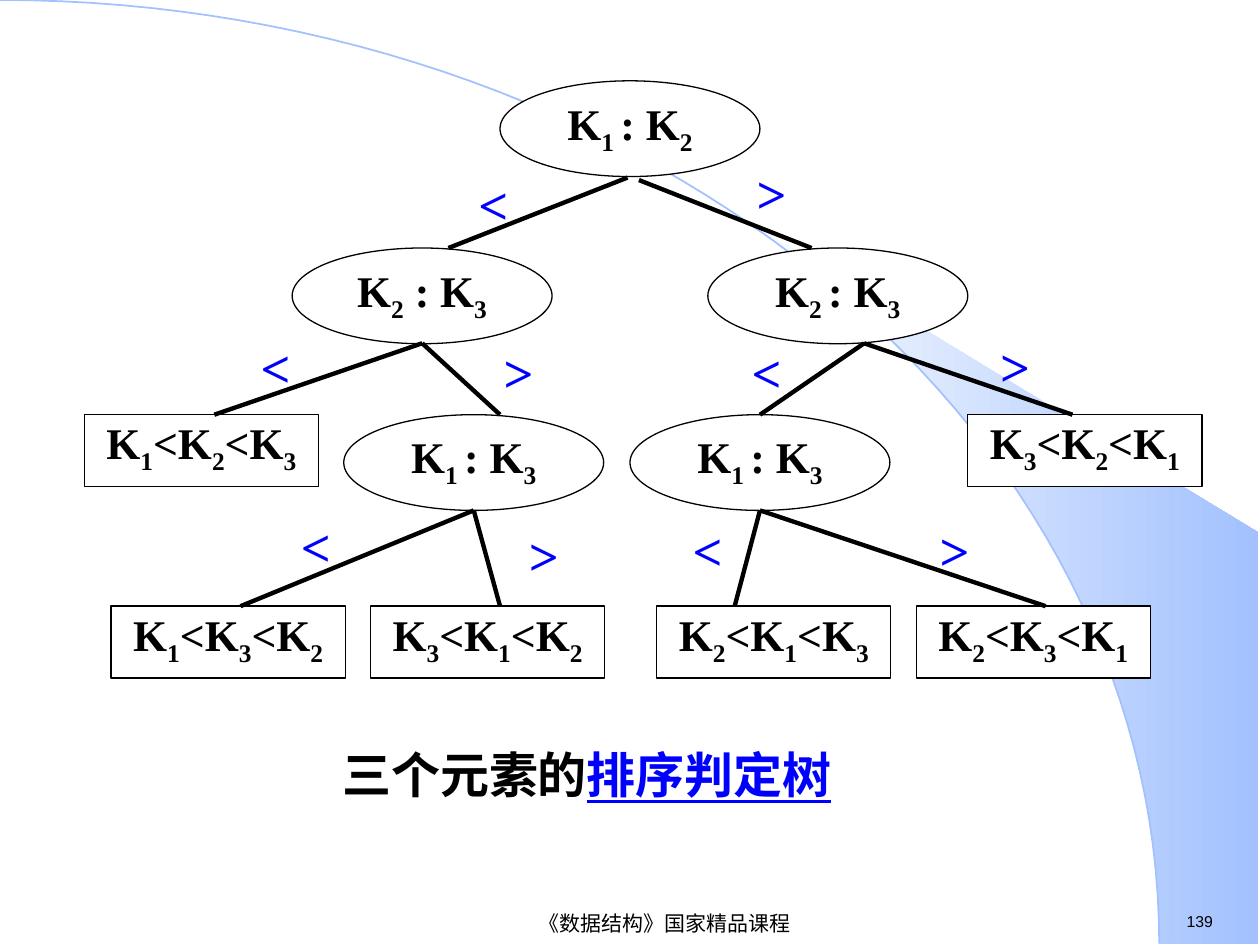
import math

from lxml import etree
from pptx import Presentation
from pptx import util as u
from pptx.dml import color
from pptx.enum import shapes, text
from pptx.oxml import ns

BLACK, WHITE, BLUE, SKY = "000000", "FFFFFF", "0000FF", "A2C1FE"


def rgb(value):
    return color.RGBColor.from_string(value)


class TreeSlide:
    serif = "Times New Roman"
    sans = "Arial"
    ellipse_size = (5.24, 1.93)
    leaf_size = (4.72, 1.45)
    sign_size = (2.11, 1.52)

    def __init__(self, slide):
        self.slide = slide

    def place(self, shape, left, top, width, height):
        shape.left, shape.top = u.Cm(left), u.Cm(top)
        shape.width, shape.height = u.Cm(width), u.Cm(height)

    def style(self, run, size, name, colour, bold=False):
        font = run.font
        font.size, font.name, font.bold = u.Pt(size), name, bold
        font.color.rgb = rgb(colour)

    def frame(self, shape, anchor, align, inset=(0.25, 0.13)):
        frame = shape.text_frame
        frame.word_wrap = True
        frame.auto_size = text.MSO_AUTO_SIZE.NONE
        frame.vertical_anchor = anchor
        frame.margin_left = frame.margin_right = u.Cm(inset[0])
        frame.margin_top = frame.margin_bottom = u.Cm(inset[1])
        frame.paragraphs[0].alignment = align
        return frame

    def outline(self, points, closed):
        start, *rest = [(u.Cm(x), u.Cm(y)) for x, y in points]
        builder = self.slide.shapes.build_freeform(*start)
        builder.add_line_segments(rest, close=closed)
        shape = builder.convert_to_shape()
        shape.shadow.inherit = False
        return shape

    def band(self, points):
        shape = self.outline(points, True)
        shape.line.fill.background()
        shape.fill.gradient()
        shape.fill.gradient_angle = 0
        for stop, colour in zip(shape.fill.gradient_stops, ("FEFEFE", SKY)):
            stop.color.rgb = rgb(colour)

    def arc(self, points):
        shape = self.outline(points, False)
        shape.fill.background()
        shape.line.color.rgb = rgb(SKY)
        shape.line.width = u.Pt(1)

    def node(self, kind, size, centre, top, label):
        shape = self.slide.shapes.add_shape(kind, 0, 0, 0, 0)
        self.place(shape, centre - size[0] / 2, top, *size)
        shape.shadow.inherit = False
        shape.fill.solid()
        shape.fill.fore_color.rgb = rgb(WHITE)
        shape.line.color.rgb = rgb(BLACK)
        shape.line.width = u.Pt(0.75)
        frame = self.frame(shape, text.MSO_ANCHOR.TOP, text.PP_ALIGN.CENTER, (0.05, 0.03))
        for index, part in enumerate(label.split("_")):
            if part:
                run = frame.paragraphs[0].add_run()
                run.text = part
                self.style(run, 25, self.serif, BLACK, True)
                if index % 2:
                    run.font._element.set("baseline", "-25000")

    def comparison(self, centre, top, label):
        self.node(shapes.MSO_SHAPE.OVAL, self.ellipse_size, centre, top, label)

    def leaf(self, centre, top, order):
        label = "<".join(f"K_{digit}_" for digit in order)
        self.node(shapes.MSO_SHAPE.RECTANGLE, self.leaf_size, centre, top, label)

    def branch(self, start, end):
        connector = self.slide.shapes.add_connector(
            shapes.MSO_CONNECTOR.STRAIGHT, *(u.Cm(value) for value in (*start, *end)))
        connector.line.color.rgb = rgb(BLACK)
        connector.line.width = u.Pt(2.5)
        etree.SubElement(connector._element.spPr, ns.qn("a:effectLst"))

    def label(self, words, box, size, name, colour=BLACK, bold=False,
              anchor=text.MSO_ANCHOR.TOP, align=text.PP_ALIGN.CENTER):
        shape = self.slide.shapes.add_textbox(0, 0, 0, 0)
        self.place(shape, *box)
        paragraph = self.frame(shape, anchor, align).paragraphs[0]
        paragraph.text = words
        self.style(paragraph.runs[0], size, name, colour, bold)

    def sign(self, mark, left, top):
        self.label(mark, (left, top, *self.sign_size), 30, self.serif, BLUE, True)

    def title(self, plain, linked):
        shape = self.slide.shapes.title
        self.place(shape, 6.65, 14.63, 10.69, 1.96)
        frame = self.frame(shape, text.MSO_ANCHOR.MIDDLE, text.PP_ALIGN.LEFT)
        for words, colour in ((plain, BLACK), (linked, BLUE)):
            run = frame.paragraphs[0].add_run()
            run.text = words
            self.style(run, 28, self.serif, colour, True)
            run.font.underline = colour == BLUE


def arc_points(first, last, steps=60):
    angles = [math.radians(first + (last - first) * i / steps) for i in range(steps + 1)]
    return [(23.37 * math.sin(a), 19.02 * (1 - math.cos(a))) for a in angles]


def main():
    presentation = Presentation()
    presentation.slide_width, presentation.slide_height = u.Cm(25.4), u.Cm(19.05)
    tree = TreeSlide(presentation.slides.add_slide(presentation.slide_layouts[5]))

    tree.band(arc_points(39.8, 90) + [(25.37, 19.02), (25.37, 10.74)])
    tree.arc(arc_points(0, 90))

    level_tops = (1.63, 5, 8.36, 12.22)
    for centre, level, label in (
        (12.7, 0, "K_1 _: K_2"),
        (8.51, 1, "K_2_ : K_3"),
        (16.89, 1, "K_2 _: K_3"),
        (9.55, 2, "K_1 _: K_3"),
        (15.32, 2, "K_1 _: K_3"),
    ):
        tree.comparison(centre, level_tops[level], label)
    for centre, level, order in (
        (4.06, 2, "123"), (21.87, 2, "321"),
        (4.6, 3, "132"), (9.83, 3, "312"), (15.6, 3, "213"), (20.83, 3, "231"),
    ):
        tree.leaf(centre, level_tops[level], order)

    for start, level, ends in (
        ((12.65, 3.58), 1, (9.04,)),
        ((12.88, 3.63), 1, (16.36,)),
        ((8.51, 6.92), 2, (4.32, 10.08)),
        ((17.42, 6.92), 2, (15.32, 21.62)),
        ((9.55, 10.29), 3, (4.85, 10.08)),
        ((15.32, 10.29), 3, (14.81, 21.08)),
    ):
        for end in ends:
            tree.branch(start, (end, level_tops[level]))

    for mark, corners in (
        ("<", ((8.89, 3.33), (4.5, 6.63), (5.31, 10.24), (14.4, 6.73), (13.21, 10.31))),
        (">", ((14.5, 3.12), (19.41, 6.6), (18.19, 10.31), (9.91, 10.41), (9.4, 6.73))),
    ):
        for corner in corners:
            tree.sign(mark, *corner)

    tree.title("三个元素的", "排序判定树")
    tree.label("《数据结构》国家精品课程", (6.1, 18.31, 14.6, 0.61), 12, tree.sans,
               anchor=text.MSO_ANCHOR.MIDDLE)
    tree.label("139", (23.67, 18.26, 1.96, 0.64), 9, tree.sans, align=text.PP_ALIGN.LEFT)

    presentation.save("out.pptx")


if __name__ == "__main__":
    main()
